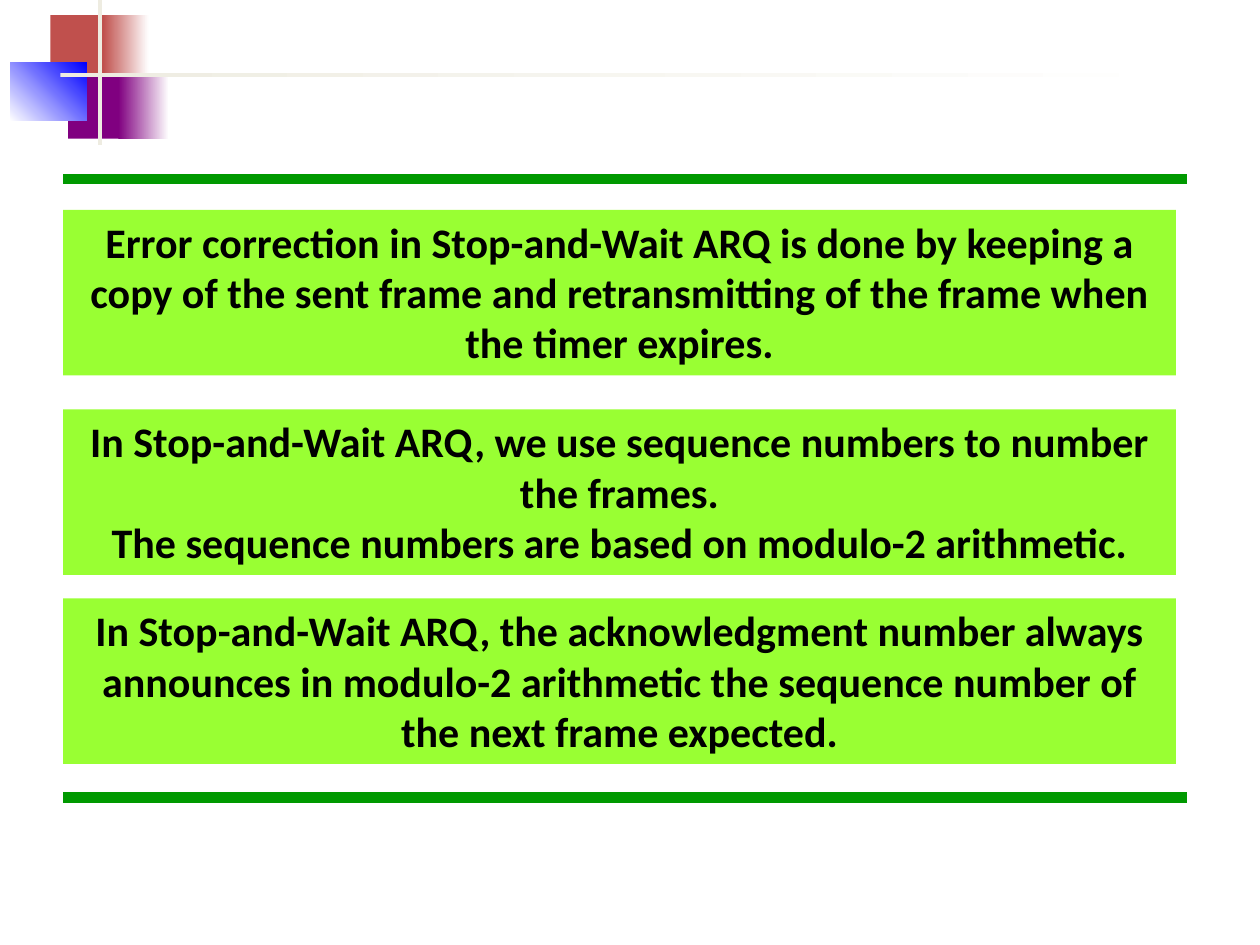
from pptx import Presentation
from pptx.dml.color import RGBColor
from pptx.enum import shapes, text
from pptx.oxml.ns import qn
from pptx.util import Pt

RED = RGBColor(0xC0, 0x50, 0x4D)
PURPLE = RGBColor(0x80, 0x00, 0x80)
BLUE = RGBColor(0x00, 0x00, 0xFF)
CREAM = RGBColor(0xEE, 0xEC, 0xE1)
WHITE = RGBColor(0xFF, 0xFF, 0xFF)
BLACK = RGBColor(0x00, 0x00, 0x00)
GREEN = RGBColor(0x00, 0x99, 0x00)
LIME = RGBColor(0x99, 0xFF, 0x33)

# Left, top, width, height, colours (two make a gradient), gradient angle
ORNAMENT = [
    (28.8, 8.64, 34.56, 37.44, [RED], 0),
    (59.04, 8.64, 25.92, 37.44, [RED, WHITE], 0),
    (38.88, 41.76, 33.12, 37.44, [PURPLE], 0),
    (67.68, 41.76, 28.8, 37.44, [PURPLE, WHITE], 0),
    (5.76, 36, 43.92, 33.12, [WHITE, BLUE], 45),
    (56.16, 0, 2.16, 82.8, [CREAM], 0),
    (34.56, 41.76, 648, 2.16, [CREAM, WHITE], 0),
]

LEFT, RULE_RIGHT = 36, 678.24
RULE_TOPS = [102.24, 455.76]
NOTE_WIDTH, NOTE_HEIGHT = 636, 94.5
NOTES = [
    (120, ["Error correction in Stop-and-Wait ARQ is done by keeping a copy of "
           "the sent frame and retransmitting of the frame when the timer expires."]),
    (234, ["In Stop-and-Wait ARQ, we use sequence numbers to number the frames.",
           "The sequence numbers are based on modulo-2 arithmetic."]),
    (342, ["In Stop-and-Wait ARQ, the acknowledgment number always announces in "
           "modulo-2 arithmetic the sequence number of the next frame expected."]),
]
NOTE_FONT = {"name": "Calibri", "size": Pt(24), "bold": True}


def add_block(s, left, top, width, height, colors, angle=0):
    """Add a borderless rectangle with a solid or two-colour fill."""
    sp = s.shapes.add_shape(shapes.MSO_SHAPE.RECTANGLE,
                            Pt(left), Pt(top), Pt(width), Pt(height))
    sp.shadow.inherit = False
    sp.line.fill.background()
    if len(colors) == 1:
        sp.fill.solid()
        sp.fill.fore_color.rgb = colors[0]
    else:
        sp.fill.gradient()
        sp.fill.gradient_angle = angle
        for stop, color in zip(sp.fill.gradient_stops, colors):
            stop.color.rgb = color
    return sp


def add_rule(s, top):
    """Add a thick horizontal line."""
    line = s.shapes.add_connector(shapes.MSO_CONNECTOR.STRAIGHT,
                                  Pt(LEFT), Pt(top), Pt(RULE_RIGHT), Pt(top))
    line.line.color.rgb = GREEN
    line.line.width = Pt(6)
    sp_pr = line._element.spPr
    sp_pr.append(sp_pr.makeelement(qn("a:effectLst"), {}))


def add_note(s, top, paragraphs):
    """Add a lime box with centred bold text."""
    sp = add_block(s, LEFT, top, NOTE_WIDTH, NOTE_HEIGHT, [LIME])
    tf = sp.text_frame
    tf.word_wrap = True
    tf.auto_size = text.MSO_AUTO_SIZE.SHAPE_TO_FIT_TEXT
    tf.vertical_anchor = text.MSO_ANCHOR.TOP
    for i, words in enumerate(paragraphs):
        p = tf.add_paragraph() if i else tf.paragraphs[0]
        p.alignment = text.PP_ALIGN.CENTER
        r = p.add_run()
        r.text = words
        for key, value in NOTE_FONT.items():
            setattr(r.font, key, value)
        r.font.color.rgb = BLACK


def main():
    prs = Presentation()
    prs.slide_width, prs.slide_height = Pt(720), Pt(540)
    s = prs.slides.add_slide(prs.slide_layouts[6])

    # Corner ornament
    for block in ORNAMENT:
        add_block(s, *block)

    # Rules above and below the notes
    for top in RULE_TOPS:
        add_rule(s, top)

    # Notes
    for top, paragraphs in NOTES:
        add_note(s, top, paragraphs)

    prs.save("out.pptx")


if __name__ == "__main__":
    main()
